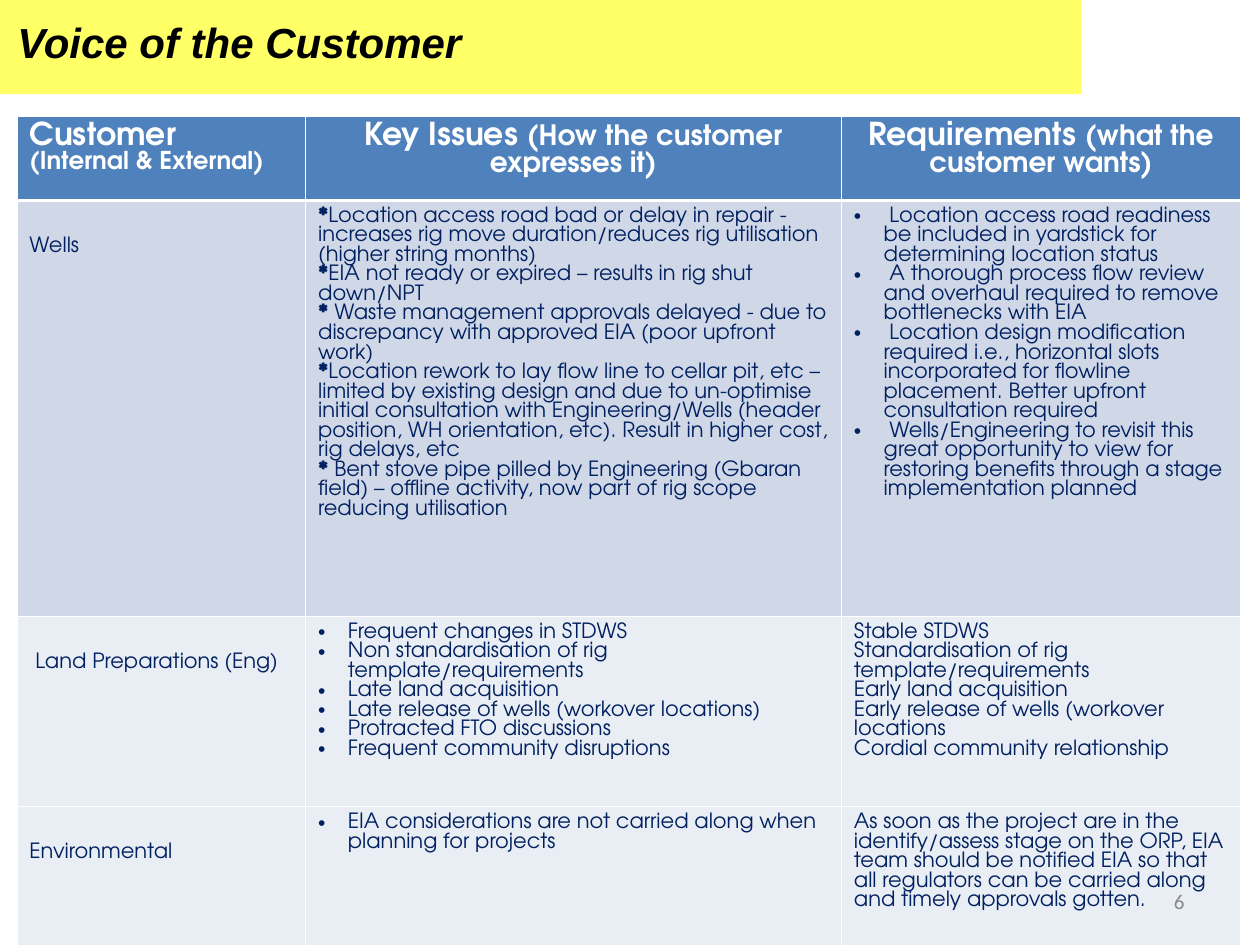
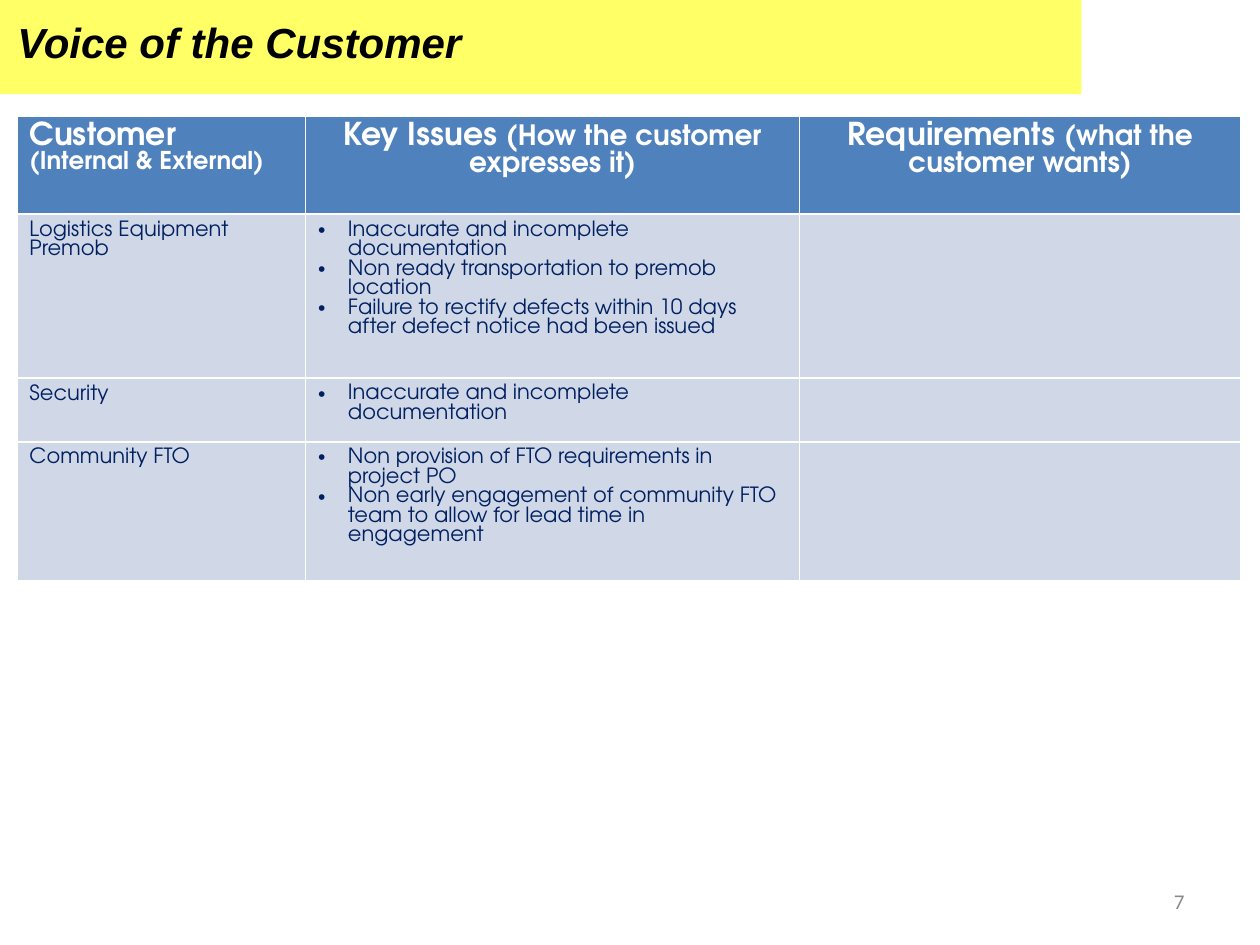
import lxml.etree
import pptx
import pptx.dml.color
import pptx.enum.shapes
import pptx.enum.text
import pptx.oxml.ns
import pptx.util

Cm = pptx.util.Cm
Pt = pptx.util.Pt
RGBColor = pptx.dml.color.RGBColor
Align = pptx.enum.text.PP_ALIGN
Anchor = pptx.enum.text.MSO_ANCHOR
qn = pptx.oxml.ns.qn

YELLOW = RGBColor(0xFF, 0xFF, 0x66)
BLACK = RGBColor(0, 0, 0)
WHITE = RGBColor(0xFF, 0xFF, 0xFF)
GREY = RGBColor(0x89, 0x89, 0x89)
NAVY = RGBColor(0x00, 0x20, 0x60)
HEADER_BLUE = RGBColor(0x4F, 0x81, 0xBD)
ROW_BLUE = RGBColor(0xD0, 0xD8, 0xE8)
ROW_PALE = RGBColor(0xE9, 0xED, 0xF4)

TABLE_FONT = "TeX Gyre Adventor"
THIN, THICK = 0.45, 1.47
CELL_TOP = 0.13
LOWERED_TOP = 0.74

HEADINGS = [
    (Align.LEFT, [[("Customer", 18)], [("(Internal & External)", 14)]]),
    (Align.CENTER, [[("Key Issues ", 18), ("(How the customer expresses it)", 16)]]),
    (Align.CENTER, [[("Requirements ", 18), ("(what the customer wants)", 16)]]),
]

FIRST_ROWS = [
    (
        ["Wells"],
        [
            "*Location access road bad or delay in repair - increases rig move "
            "duration/reduces rig utilisation (higher string months)",
            "*EIA not ready or expired – results in rig shut down/NPT",
            "* Waste management approvals delayed - due to discrepancy with "
            "approved EIA (poor upfront work)",
            "*Location rework to lay flow line to cellar pit, etc – limited by "
            "existing design and due to un-optimise initial consultation with "
            "Engineering/Wells (header position, WH orientation, etc). Result in "
            "higher cost, rig delays, etc",
            "* Bent stove pipe pilled by Engineering (Gbaran field) – offline "
            "activity, now part of rig scope reducing utilisation",
        ],
        [
            "• Location access road readiness be included in yardstick for "
            "determining location status",
            "• A thorough process flow review and overhaul required to remove "
            "bottlenecks with EIA",
            "• Location design modification required i.e., horizontal slots "
            "incorporated for flowline placement. Better upfront consultation required",
            "• Wells/Engineering to revisit this great opportunity to view for "
            "restoring benefits through a stage implementation planned",
        ],
    ),
    (
        [" Land Preparations (Eng)"],
        [
            "•Frequent changes in STDWS",
            "•Non standardisation of rig template/requirements",
            "•Late land acquisition",
            "•Late release of wells (workover locations)",
            "•Protracted FTO discussions",
            "•Frequent community disruptions",
        ],
        [
            "Stable STDWS",
            "Standardisation of rig template/requirements",
            "Early land acquisition",
            "Early release of wells (workover locations",
            "Cordial community relationship",
        ],
    ),
    (
        ["Environmental"],
        ["•EIA considerations are not carried along when planning for projects"],
        [
            "As soon as the project are in the identify/assess stage on the ORP, "
            "EIA team should be notified EIA so that all regulators can be carried "
            "along and timely approvals gotten."
        ],
    ),
]

SECOND_ROWS = [
    (
        ["Logistics Equipment Premob"],
        [
            "•Inaccurate and incomplete documentation",
            "•Non ready transportation to premob location",
            "•Failure to rectify defects within 10 days after defect notice had been issued",
        ],
        [],
    ),
    (["Security"], ["•Inaccurate and incomplete documentation"], []),
    (
        ["Community FTO"],
        [
            "•Non provision of FTO requirements in project PO",
            "•Non early engagement of community FTO team to allow for lead time in engagement",
        ],
        [],
    ),
]


class CustomerDeck:
    def __init__(self):
        self.deck = pptx.Presentation()
        self.deck.slide_width, self.deck.slide_height = Cm(25.4), Cm(19.05)
        self.page = None

    def add_page(self, number):
        self.page = self.deck.slides.add_slide(self.deck.slide_layouts[6])
        self.band()
        self.text("Voice of the Customer", (0.1, 0.2, 19.38, 1.24),
                  "Arial", 24, BLACK, emphasis=True)
        return str(number)

    def band(self):
        band = self.page.shapes.add_shape(
            pptx.enum.shapes.MSO_SHAPE.RECTANGLE, 0, 0, Cm(21.8), Cm(1.9))
        band.shadow.inherit = False
        band.fill.solid()
        band.fill.fore_color.rgb = YELLOW
        band.line.fill.background()

    def text(self, words, place, font, size, color, emphasis=False,
             align=Align.LEFT, anchor=Anchor.TOP):
        box = self.page.shapes.add_textbox(*map(Cm, place))
        frame = box.text_frame
        frame.word_wrap = True
        frame.vertical_anchor = anchor
        frame.text = words
        para = frame.paragraphs[0]
        para.alignment = align
        self.style(para.runs[0], font, size, color, emphasis)
        para.runs[0].font.italic = emphasis

    def style(self, span, font, size, color, bold=False):
        span.font.name = font
        span.font.size = Pt(size)
        span.font.color.rgb = color
        span.font.bold = bold

    def bullet(self, para):
        props = para._p.get_or_add_pPr()
        props.set("marL", str(Cm(0.6)))
        props.set("indent", str(-Cm(0.6)))
        tint = lxml.etree.SubElement(props, qn("a:buClr"))
        lxml.etree.SubElement(tint, qn("a:srgbClr"), val=str(NAVY))
        lxml.etree.SubElement(props, qn("a:buFont"), typeface="Arial")
        lxml.etree.SubElement(props, qn("a:buChar"), char="•")

    def paint_cell(self, cell, fill, top, bottom):
        cell.fill.solid()
        cell.fill.fore_color.rgb = fill
        props = cell._tc.get_or_add_tcPr()
        edges = [("L", THIN), ("R", THIN), ("T", top), ("B", bottom)]
        for place, (side, width) in enumerate(edges):
            edge = lxml.etree.Element(qn(f"a:ln{side}"), w=str(Pt(width)))
            solid = lxml.etree.SubElement(edge, qn("a:solidFill"))
            lxml.etree.SubElement(solid, qn("a:srgbClr"), val=str(WHITE))
            props.insert(place, edge)

    def fill_heading(self, cell, align, lines):
        cell.text_frame.text = "\n".join("" for line in lines)
        for para, line in zip(cell.text_frame.paragraphs, lines):
            para.alignment = align
            for words, size in line:
                span = para.add_run()
                span.text = words
                self.style(span, TABLE_FONT, size, WHITE, True)

    def fill_body(self, cell, lines):
        cell.text_frame.text = "\n".join(line.lstrip("•") for line in lines)
        for para, line in zip(cell.text_frame.paragraphs, lines):
            if line.startswith("•"):
                self.bullet(para)
            if line.startswith("*"):
                para.text = "*"
                para.add_run().text = line[1:]
            for span in para.runs:
                self.style(span, TABLE_FONT, 12, NAVY, span.text == "*")
        if not lines:
            cell.text_frame.paragraphs[0].font.size = Pt(12)

    def table(self, widths, heights, rows, fills, rule, label_top):
        frame = self.page.shapes.add_table(
            len(heights), len(widths), Cm(0.34), Cm(2.34),
            Cm(sum(widths)), Cm(sum(heights)))
        grid = frame.table
        for column, width in zip(grid.columns, widths):
            column.width = Cm(width)
        for row, height in zip(grid.rows, heights):
            row.height = Cm(height)
        for cell, heading in zip(grid.rows[0].cells, HEADINGS):
            self.fill_heading(cell, *heading)
            self.paint_cell(cell, HEADER_BLUE, THIN, THICK)
        for index, (contents, fill) in enumerate(zip(rows, fills), 1):
            top = THICK if index == 1 else rule
            bottom = THIN if index == len(rows) else rule
            for cell, lines in zip(grid.rows[index].cells, contents):
                self.fill_body(cell, lines)
                self.paint_cell(cell, fill, top, bottom)
            grid.cell(index, 0).margin_top = Cm(label_top)

    def page_number(self, number):
        self.text(number, (18.2, 17.66, 5.93, 1.01), "Calibri", 12, GREY,
                  align=Align.RIGHT, anchor=Anchor.MIDDLE)


def main():
    voice = CustomerDeck()

    number = voice.add_page(6)
    voice.table([5.82, 10.8, 8.05], [1.7, 8.36, 3.84, 2.79], FIRST_ROWS,
                [ROW_BLUE, ROW_PALE, ROW_PALE], THIN, LOWERED_TOP)
    voice.page_number(number)

    number = voice.add_page(7)
    voice.table([5.82, 9.96, 8.89], [1.98, 3.3, 1.28, 2.77], SECOND_ROWS,
                [ROW_BLUE] * 3, THICK, CELL_TOP)
    voice.page_number(number)

    voice.deck.save("out.pptx")


if __name__ == "__main__":
    main()
